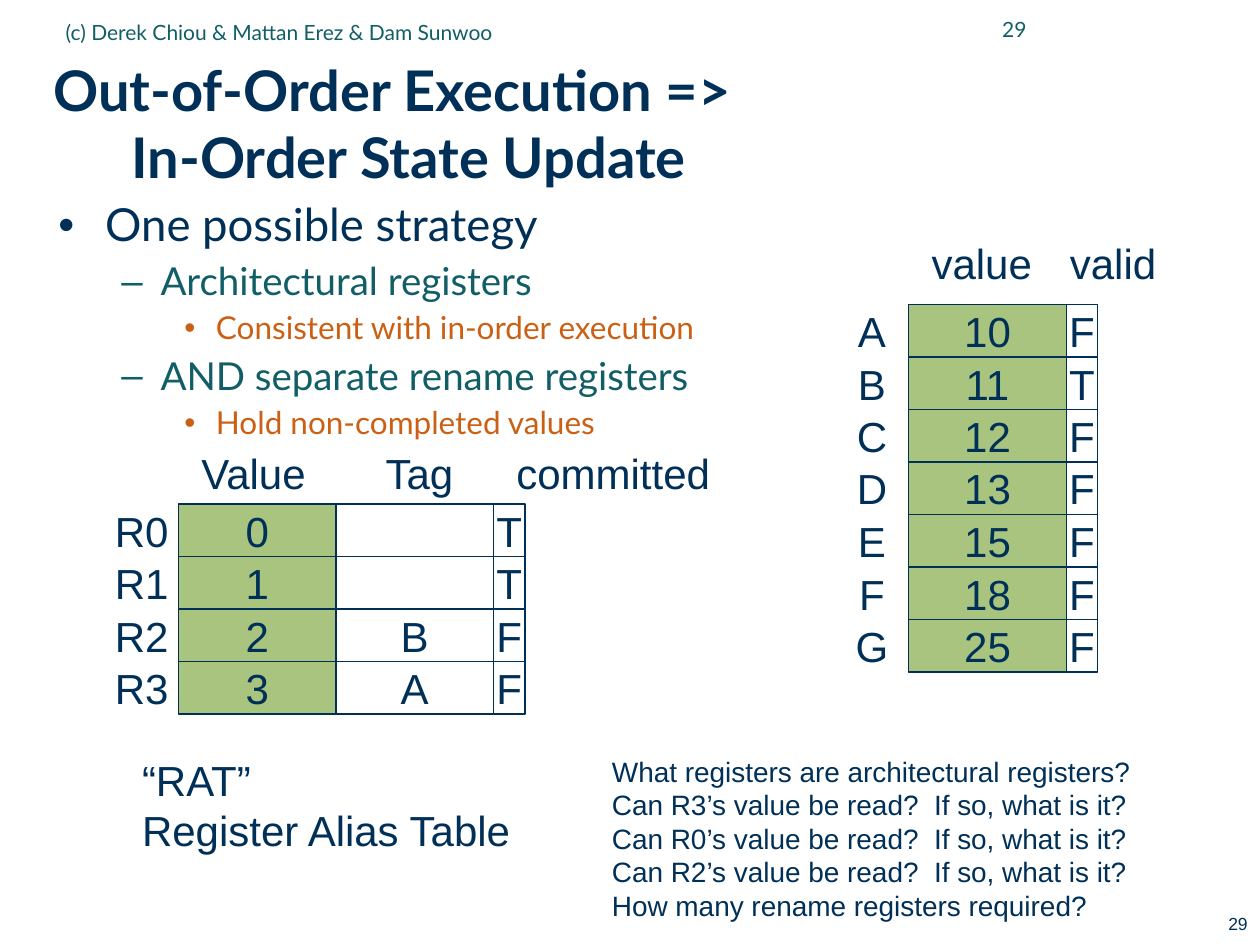
from lxml.etree import SubElement
from pptx import Presentation
from pptx.dml.color import RGBColor as RGB
from pptx.enum.shapes import MSO_SHAPE as SHAPE
from pptx.enum.text import MSO_ANCHOR as ANCHOR, MSO_AUTO_SIZE as AUTO, PP_ALIGN as ALIGN
from pptx.oxml.ns import qn
from pptx.util import Inches, Pt

THEME = {
    "navy": RGB.from_string("003057"),
    "teal": RGB.from_string("115E67"),
    "orange": RGB.from_string("CB6015"),
    "green": RGB.from_string("A9C47F"),
    "head": "Lato",
    "body": "Arial",
    "title": 32,
    "cell": 24,
    "question": 16,
    "footer": 12,
    "page": 10,
    "line": 0.75,
}

prs = Presentation()
prs.slide_width, prs.slide_height = Inches(10), Inches(7.5)
s = prs.slides.add_slide(prs.slide_layouts[6])
COL = prs.slide_width // 120
ROW = prs.slide_height // 90


def write(p, text, size, color="navy", font="body", bold=False, align=ALIGN.LEFT):
    p.text = text
    p.alignment = align
    for r in p.runs:
        fmt = {"size": Pt(size), "name": THEME[font], "bold": bold}
        for key, value in fmt.items():
            setattr(r.font, key, value)
        r.font.color.rgb = THEME[color]


def put(x, y, w, h, lines=(), size=THEME["cell"], box=False, fill=None, frame=None, **style):
    at = int(x * COL), int(y * ROW), int(w * COL), int(h * ROW)
    if box:
        sp = s.shapes.add_shape(SHAPE.RECTANGLE, *at)
        sp.shadow.inherit = False
        sp.line.color.rgb = THEME["navy"]
        sp.line.width = Pt(THEME["line"])
        if fill:
            sp.fill.solid()
            sp.fill.fore_color.rgb = THEME[fill]
        else:
            sp.fill.background()
    else:
        sp = s.shapes.add_textbox(*at)
    tf = sp.text_frame
    for key, value in (frame or {}).items():
        setattr(tf, key, value)
    for i, text in enumerate(lines):
        p = tf.add_paragraph() if i else tf.paragraphs[0]
        write(p, text, size, **style)
    return tf


flush = {f"margin_{side}": 0 for side in ("left", "right", "top", "bottom")}
wrapped = {"word_wrap": True}
middle = {"vertical_anchor": ANCHOR.MIDDLE}
single = {"word_wrap": False, **flush, **middle}
grow = {"word_wrap": False, "auto_size": AUTO.SHAPE_TO_FIT_TEXT}

tf = put(5.08, 6, 113, 11.8, ["Out-of-Order Execution =>\vIn-Order State Update"],
         THEME["title"], frame={**flush, **wrapped, **middle}, font="head", bold=True)
p = tf.paragraphs[0]
p.line_spacing = 0.99
pPr = p._p.get_or_add_pPr()
pPr.set("marL", str(Inches(0.62)))
pPr.set("indent", str(-Inches(0.62)))

levels = [
    {"size": 26, "color": "navy", "bullet": "•", "left": 0.37, "hang": 0.37, "before": 6.5},
    {"size": 22, "color": "teal", "bullet": "–", "left": 0.81, "hang": 0.31, "before": 6},
    {"size": 18, "color": "orange", "bullet": "•", "left": 1.25, "hang": 0.25, "before": 5},
]
outline = [
    (0, "One possible strategy"),
    (1, "Architectural registers"),
    (2, "Consistent with in-order execution"),
    (1, "AND separate rename registers"),
    (2, "Hold non-completed values"),
]
tf = put(5.57, 19.3, 112, 70.7, frame={**flush, **wrapped})
for i, (level, text) in enumerate(outline):
    look = levels[level]
    p = tf.add_paragraph() if i else tf.paragraphs[0]
    p.level = level
    p.line_spacing = 0.9
    p.space_before = Pt(look["before"] if i else 0)
    pPr = p._p.get_or_add_pPr()
    pPr.set("marL", str(Inches(look["left"])))
    pPr.set("indent", str(-Inches(look["hang"])))
    clr = SubElement(pPr, qn("a:buClr"))
    SubElement(clr, qn("a:srgbClr")).set("val", str(THEME[look["color"]]))
    SubElement(pPr, qn("a:buFont")).set("typeface", THEME["body"])
    SubElement(pPr, qn("a:buChar")).set("char", look["bullet"])
    write(p, text, look["size"], look["color"], "head")

put(88.05, -0.24, 10.9, 6, ["29"], THEME["footer"], frame={**wrapped, **middle},
    color="teal", font="head", align=ALIGN.RIGHT)
put(5.08, 0.36, 68, 5.5, ["(c) Derek Chiou & Mattan Erez & Dam Sunwoo"], THEME["footer"],
    frame={**wrapped, **middle}, color="teal", font="head")
put(92, 86.4, 28, 3.2, ["29"], THEME["page"], frame=wrapped, align=ALIGN.RIGHT)

label, wide, flag, row_height = 7, 15, 3, 5
grids = [
    (10, 48, (label, wide, wide, flag),
     ["R0 0 - T", "R1 1 - T", "R2 2 B F", "R3 3 A F"]),
    (79.55, 29, (label, wide, flag),
     ["A 10 F", "B 11 T", "C 12 F", "D 13 F", "E 15 F", "F 18 F", "G 25 F"]),
]
for left, top, widths, rows in grids:
    for i, row in enumerate(rows):
        for j, text in enumerate(row.split()):
            lines = [] if text == "-" else [text]
            put(left + sum(widths[:j]), top + i * row_height, widths[j], row_height, lines,
                box=j > 0, fill="green" if j == 1 else None, frame=single, align=ALIGN.CENTER)

headings = [
    (17.9, 42, 12.5, "Value"),
    (35.5, 42, 8.9, "Tag"),
    (47.95, 42, 20.9, "committed"),
    (87.5, 22, 12, "value"),
    (100.65, 22, 10.7, "valid"),
]
for x, y, w, text in headings:
    put(x, y, w, 6, [text], frame=grow, align=ALIGN.CENTER)

questions = ["What registers are architectural registers?"]
questions += [f"Can {reg}’s value be read?  If so, what is it?" for reg in ("R3", "R0", "R2")]
questions += ["How many rename registers required?"]
put(57.1, 71.25, 52, 17.3, questions, THEME["question"], frame=grow)
put(12.35, 71.25, 37.9, 10.9, ["“RAT”", "Register Alias Table"], frame=grow)

prs.save("out.pptx")
